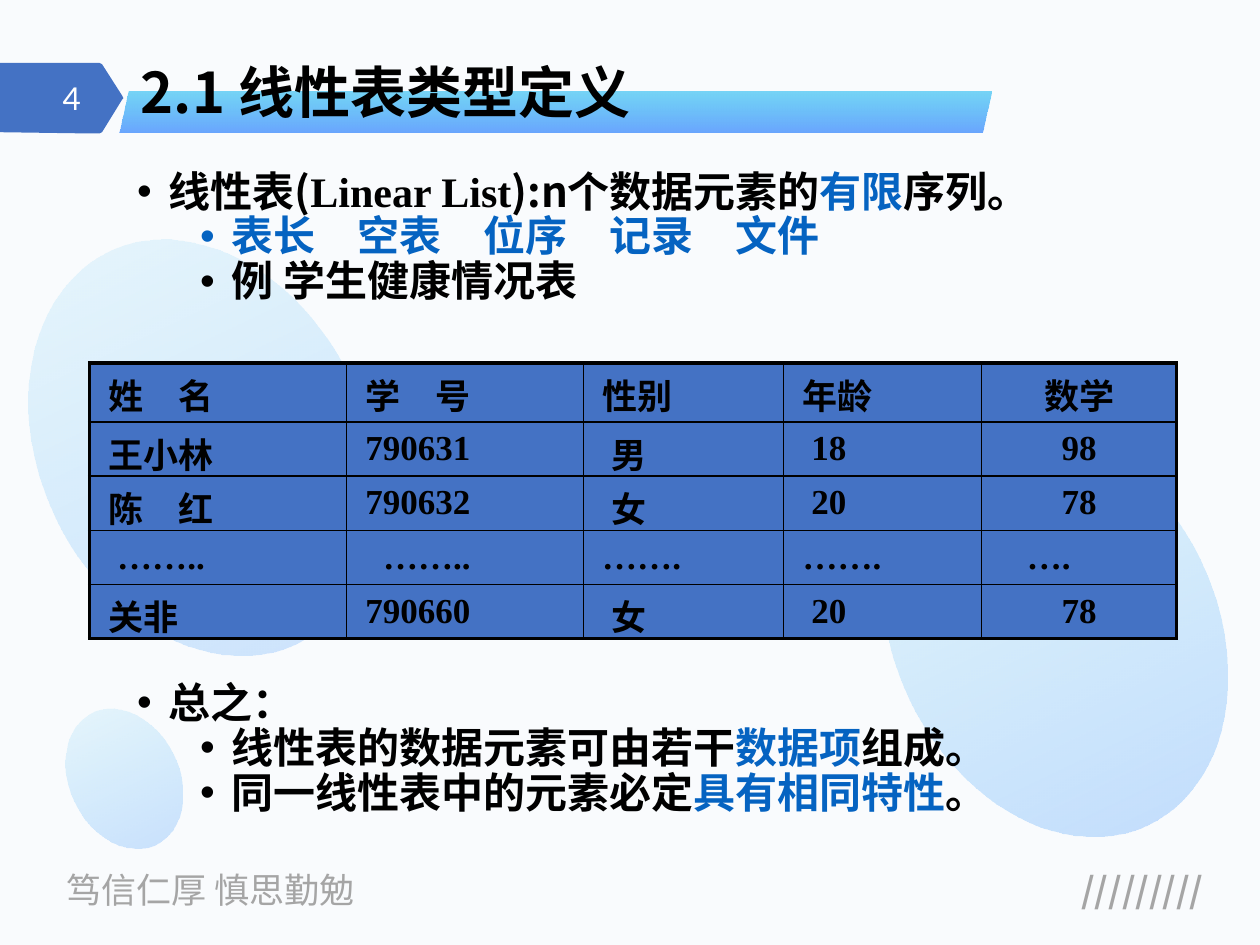
from lxml import etree
from pptx import Presentation
from pptx.dml.color import RGBColor as RGB
from pptx.enum.shapes import MSO_SHAPE as SHAPE
from pptx.enum.text import MSO_ANCHOR as ANCHOR, PP_ALIGN as ALIGN
from pptx.oxml.ns import qn
from pptx.util import Inches, Pt

THEME = {
    "bg": "F9FBFD", "text": "000000", "accent": "0563C1", "block": "4472C4",
    "muted": "A5A5A5", "white": "FFFFFF", "blue": "3385FF", "cyan": "00B0F0",
    "cjk": "Noto Sans CJK SC", "serif": "Times New Roman", "number": "Lato",
    "title": 32, "body": 24, "cell": 20, "footer": 20, "page": 18,
}
TITLE = "2.1 线性表类型定义"
FOOTERS = [
    ("笃信仁厚 慎思勤勉", (0.43, 6.84, 2.7, 0.44), ALIGN.LEFT, False),
    ("/////////", (7.67, 6.84, 1.98, 0.44), ALIGN.RIGHT, True),
]
ELLIPSES = [
    ((0.55, 5.6, 0.87, 1.16), 24),
    ((7.09, 3.29, 2.56, 3.42), 27),
    ((0.32, 1.83, 2.58, 3.44), 22),
]
TAG = [(0, 0.5), (0.79, 0.5), (0.81, 0.51), (0.97, 0.76), (0.98, 0.78),
       (0.97, 0.79), (0.81, 1.05), (0.79, 1.06), (0.73, 1.06), (0, 1.05)]
ACCENT = {"color": THEME["accent"]}
SERIF = {"font": THEME["serif"]}
BULLETS = [
    ((0.99, 1.31, 8.04, 1.5), [
        (0, [("线性表(", {}), ("Linear List", SERIF), ("):n个数据元素的", {}),
             ("有限", ACCENT), ("序列。", {})]),
        (1, [("表长　空表　位序　记录　文件", ACCENT)]),
        (1, [("例 学生健康情况表", {})]),
    ]),
    ((0.99, 5.37, 8.04, 1.4), [
        (0, [("总之：", {})]),
        (1, [("线性表的数据元素可由若干", {}), ("数据项", ACCENT), ("组成。", {})]),
        (1, [("同一线性表中的元素必定", {}), ("具有相同特性", ACCENT), ("。", {})]),
    ]),
]
TABLE_AT = (0.71, 2.88)
COLS = [2.04, 1.88, 1.59, 1.57, 1.55]
ROWS = [0.47, 0.43, 0.43, 0.43, 0.43]
CELLS = [
    ["姓　名", "学　号", "性别", "年龄", "数学"],
    ["王小林", "790631", "男", "18", "98"],
    ["陈　红", "790632", "女", "20", "78"],
    ["……..", "……..", "…….", "…….", "…."],
    ["关非", "790660", "女", "20", "78"],
]
DATA_INDENTS = [0, 0, 0.07, 0.07, 0]
DOT_INDENTS = [0.07, 0.14, 0, 0, 0.21]


def box(at):
    return [Inches(v) for v in at]


def add_text(p, text, font=THEME["cjk"], size=THEME["body"], color=THEME["text"],
             bold=True, east=THEME["cjk"]):
    r = p.add_run()
    r.text = text
    r.font.name, r.font.size, r.font.bold = font, Pt(size), bold
    r.font.color.rgb = RGB.from_string(color)
    ea = etree.SubElement(r.font._element, qn("a:ea"))
    ea.set("typeface", east)


def add_box(s, at, anchor=ANCHOR.TOP):
    tf = s.shapes.add_textbox(*box(at)).text_frame
    tf.word_wrap, tf.vertical_anchor = True, anchor
    return tf


def plain(sp, color=None):
    sp.shadow.inherit = False
    sp.line.fill.background()
    if color:
        sp.fill.solid()
        sp.fill.fore_color.rgb = RGB.from_string(color)


def add_gradient(s, kind, at, stops, rotation=0):
    sp = s.shapes.add_shape(kind, *box(at))
    plain(sp)
    sp.rotation = rotation
    sp.fill.gradient()
    sp.fill.gradient_angle = 270
    gs_list = sp._element.spPr.find(qn("a:gradFill")).find(qn("a:gsLst"))
    for gs in list(gs_list):
        gs_list.remove(gs)
    for pos, (color, alpha) in zip((0, 100), stops):
        gs = etree.SubElement(gs_list, qn("a:gs"), pos=str(pos * 1000))
        clr = etree.SubElement(gs, qn("a:srgbClr"), val=color)
        etree.SubElement(clr, qn("a:alpha"), val=str(alpha * 1000))
    return sp


def add_bullets(s, at, items):
    tf = add_box(s, at)
    for i, (level, runs) in enumerate(items):
        p = tf.paragraphs[0] if i == 0 else tf.add_paragraph()
        p.level, p.line_spacing = level, 0.89
        pPr = p._p.get_or_add_pPr()
        pPr.set("marL", str(Inches(0.25 + 0.5 * level)))
        pPr.set("indent", str(Inches(-0.25)))
        etree.SubElement(pPr, qn("a:buFont"), typeface="Arial")
        etree.SubElement(pPr, qn("a:buChar"), char="•")
        for text, style in runs:
            add_text(p, text, **style)


def set_borders(cell, row, col):
    last_row, last_col = len(ROWS) - 1, len(COLS) - 1
    outer = {"L": col == 0, "R": col == last_col, "T": row == 0, "B": row == last_row}
    for side, thick in outer.items():
        ln = etree.SubElement(cell._tc.get_or_add_tcPr(), qn(f"a:ln{side}"),
                              w=str(Pt(2.25 if thick else 1)))
        fill = etree.SubElement(ln, qn("a:solidFill"))
        etree.SubElement(fill, qn("a:srgbClr"), val=THEME["text"])


def add_health_table(s):
    size = (sum(COLS), sum(ROWS))
    table = s.shapes.add_table(len(ROWS), len(COLS), *box(TABLE_AT + size)).table
    table.first_row = table.horz_banding = False
    for col, width in zip(table.columns, COLS):
        col.width = Inches(width)
    for i, height in enumerate(ROWS):
        table.rows[i].height = Inches(height)
        dots = CELLS[i][0].startswith("…")
        for j, text in enumerate(CELLS[i]):
            cell = table.cell(i, j)
            set_borders(cell, i, j)
            cell.fill.solid()
            cell.fill.fore_color.rgb = RGB.from_string(THEME["block"])
            cell.margin_left = cell.margin_right = Inches(0.15)
            cell.margin_top, cell.margin_bottom = Inches(0.11), 0
            p = cell.text_frame.paragraphs[0]
            p.line_spacing = 0.8
            if j == len(COLS) - 1 and not dots:
                p.alignment = ALIGN.CENTER
            indent = DOT_INDENTS[j] if dots else DATA_INDENTS[j] if i else 0
            p._p.get_or_add_pPr().set("marL", str(Inches(indent)))
            add_text(p, text, font=THEME["serif"], size=THEME["cell"])


def main():
    """Build the slide that defines the linear list type."""
    prs = Presentation()
    prs.slide_width, prs.slide_height = Inches(10), Inches(7.5)
    s = prs.slides.add_slide(prs.slide_layouts[6])
    s.background.fill.solid()
    s.background.fill.fore_color.rgb = RGB.from_string(THEME["bg"])

    for text, at, align, bold in FOOTERS:
        p = add_box(s, at).paragraphs[0]
        p.alignment = align
        add_text(p, text, size=THEME["footer"], color=THEME["muted"], bold=bold)
    for at, alpha in ELLIPSES:
        add_gradient(s, SHAPE.OVAL, at, [(THEME["blue"], alpha), (THEME["cyan"], 8)], 154.4)

    points = [box(pt) for pt in TAG]
    builder = s.shapes.build_freeform(*points[0])
    builder.add_line_segments(points[1:], close=True)
    plain(builder.convert_to_shape(), THEME["block"])
    p = add_box(s, (0.1, 0.58, 0.64, 0.4), ANCHOR.MIDDLE).paragraphs[0]
    p.alignment = ALIGN.RIGHT
    add_text(p, "4", font=THEME["number"], size=THEME["page"], color=THEME["white"], bold=False)

    bar = add_gradient(s, SHAPE.PARALLELOGRAM, (0.95, 0.73, 6.92, 0.32),
                       [(THEME["cyan"], 52), (THEME["blue"], 73)])
    bar.adjustments[0] = 0.233
    add_health_table(s)
    p = add_box(s, (1.02, 0.4, 6.85, 0.65), ANCHOR.BOTTOM).paragraphs[0]
    p.line_spacing = 0.9
    add_text(p, TITLE, size=THEME["title"])
    for at, items in BULLETS:
        add_bullets(s, at, items)
    prs.save("out.pptx")


if __name__ == "__main__":
    main()
